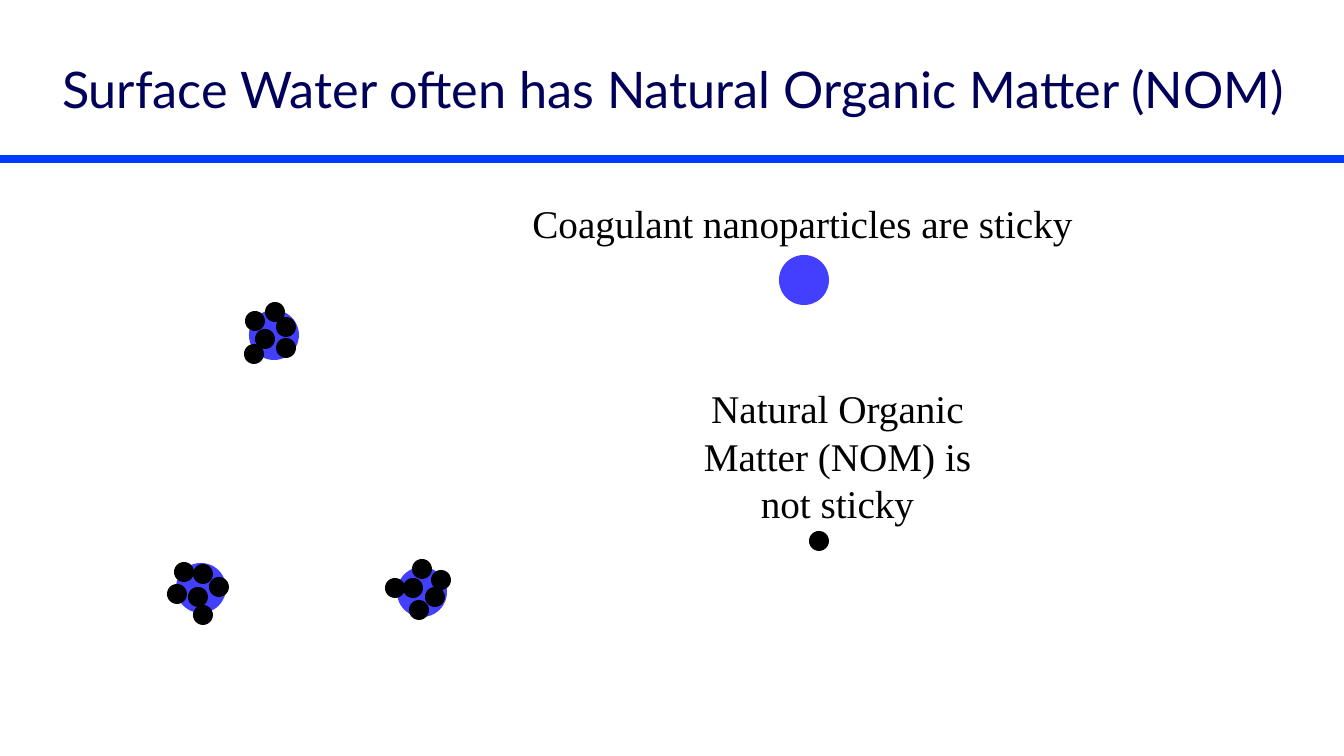
from pptx import Presentation
from pptx.dml.color import RGBColor
from pptx.enum.shapes import MSO_CONNECTOR, MSO_SHAPE
from pptx.enum.text import MSO_ANCHOR, MSO_AUTO_SIZE, PP_ALIGN
from pptx.oxml.ns import qn
from pptx.util import Pt
from lxml.etree import SubElement

SCALE = 914400 / 100.8
WIDTH, HEIGHT = 1344, 756
NAVY = RGBColor(0x00, 0x00, 0x5A)
RULE_BLUE = RGBColor(0x00, 0x3C, 0xFE)
COAGULANT_BLUE = RGBColor(0x42, 0x3F, 0xFF)
BLACK = RGBColor(0, 0, 0)
COAGULANT_SIZE, NOM_SIZE = 50, 20

# Centre of each coagulant particle and of the NOM particles that cover it
CLUSTERS = [
    ((274, 335), [(255, 321), (254, 354), (275, 312),
                  (265, 339), (286, 348), (286, 327)]),
    ((422, 592), [(422, 569), (395, 588), (441, 580),
                  (413, 588), (419, 610), (435, 597)]),
    ((201, 588), [(177, 594), (203, 615), (184, 572),
                  (198, 597), (219, 587), (203, 574)]),
]


def px(*values):
    """Turn whole pixels into a list of EMU lengths."""
    return [round(v * SCALE) for v in values]


def format_text(tf, text, font, size, color):
    """Fill a text frame with one centred paragraph and return it."""
    tf.text = text
    p = tf.paragraphs[0]
    p.alignment = PP_ALIGN.CENTER
    p.font.name = font
    p.font.size = Pt(size)
    p.font.color.rgb = color
    return p


def set_title(s, text):
    """Place and format the title placeholder."""
    sp = s.shapes.title
    sp.left, sp.top, sp.width, sp.height = px(50, 25, 1246, 126)
    tf = sp.text_frame
    tf.margin_left = tf.margin_right = 0
    tf.vertical_anchor = MSO_ANCHOR.MIDDLE
    tf.auto_size = MSO_AUTO_SIZE.NONE
    format_text(tf, text, "Lato", 36, NAVY)


def add_rule(s, y):
    """Draw the full-width line below the title."""
    line = s.shapes.add_connector(MSO_CONNECTOR.STRAIGHT, *px(0, y, WIDTH, y))
    line.line.color.rgb = RULE_BLUE
    line.line.width = Pt(6)
    SubElement(line._element.spPr, qn("a:effectLst"))


def add_label(s, text, box, wrap):
    """Add a centred label in the given pixel box."""
    tf = s.shapes.add_textbox(*px(*box)).text_frame
    tf.word_wrap = wrap
    tf.auto_size = MSO_AUTO_SIZE.SHAPE_TO_FIT_TEXT
    p = format_text(tf, text, "Times New Roman", 28, BLACK)
    p.line_spacing = Pt(34)


def add_particle(shapes, center, size, color):
    """Add a filled circle around a centre point."""
    x, y = center
    sp = shapes.add_shape(
        MSO_SHAPE.OVAL, *px(x - size / 2, y - size / 2, size, size))
    sp.shadow.inherit = False
    sp.fill.solid()
    sp.fill.fore_color.rgb = color
    sp.line.fill.background()


def add_cluster(s, coagulant, nom_centers):
    """Group a coagulant particle with its NOM particles."""
    group = s.shapes.add_group_shape()
    add_particle(group.shapes, coagulant, COAGULANT_SIZE, COAGULANT_BLUE)
    for center in nom_centers:
        add_particle(group.shapes, center, NOM_SIZE, BLACK)


def main():
    """Build the slide and save it."""
    prs = Presentation()
    prs.slide_width, prs.slide_height = px(WIDTH, HEIGHT)
    s = prs.slides.add_slide(prs.slide_layouts[5])

    add_rule(s, 159)
    set_title(s, "Surface Water often has Natural Organic Matter (NOM)")

    add_particle(s.shapes, (804, 280), COAGULANT_SIZE, COAGULANT_BLUE)
    add_label(s, "Coagulant nanoparticles are sticky",
              (513, 194, 579, 57), wrap=False)
    add_label(s, "Natural Organic Matter (NOM) is not sticky",
              (673, 379, 329, 152), wrap=True)
    add_particle(s.shapes, (819, 541), NOM_SIZE, BLACK)

    for coagulant, nom_centers in CLUSTERS:
        add_cluster(s, coagulant, nom_centers)

    prs.save("out.pptx")


main()
